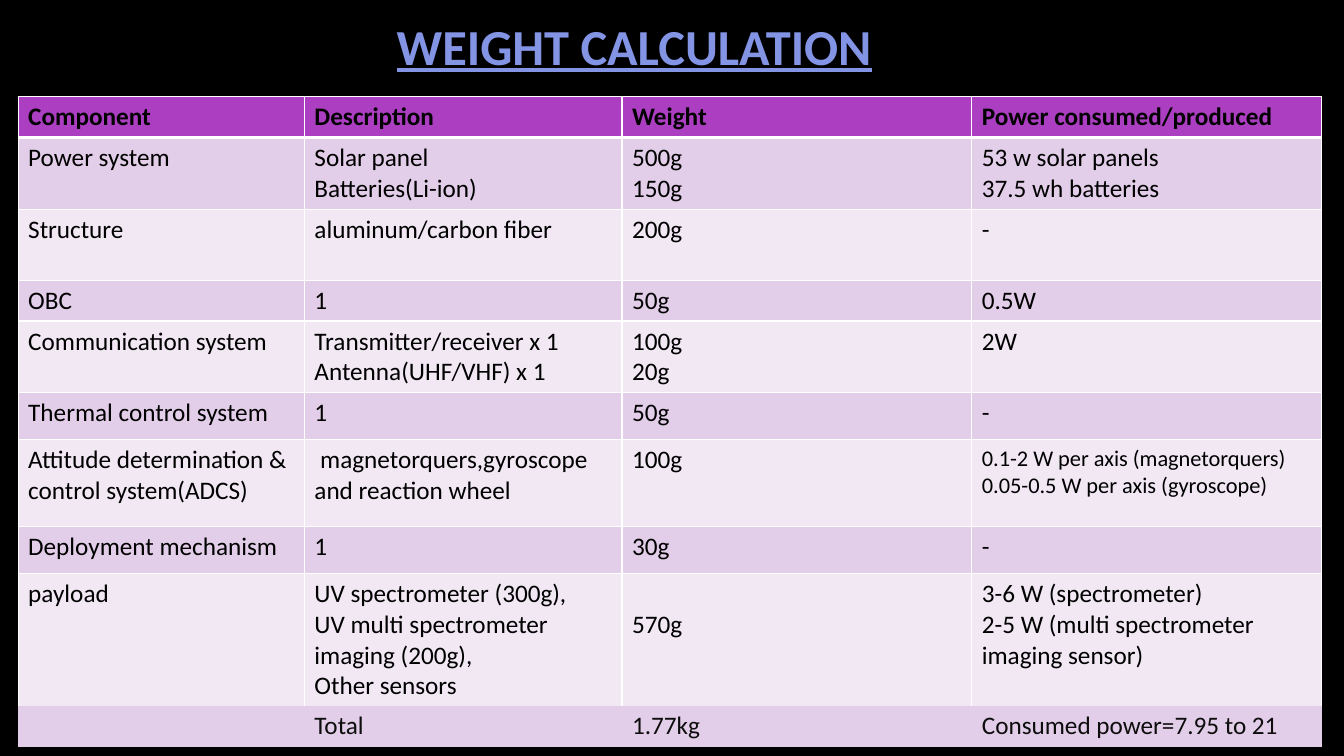
import pptx
import pptx.util
import pptx.dml.color
import pptx.enum.text
import pptx.oxml.ns
import lxml.etree

WIDE, HIGH = 13.33, 7.5
FACE = "Calibri"
BLACK, WHITE, INK = "000000", "FFFFFF", "0D0D0D"
HEAD, DARK, PALE = "AC3EC1", "E3CEE9", "F1E8F4"
TITLE = "8394E4"

COLS = [21.3, 23.63, 26.03, 26.03]
ROWS = [
    (5.4, ["Component", "Description", "Weight", "Power consumed/produced"]),
    (9.47, ["Power system", "Solar panel\nBatteries(Li-ion)", "500g\n150g",
            "53 w solar panels\n37.5 wh batteries"]),
    (9.4, ["Structure", "aluminum/carbon fiber", "200g", "-"]),
    (5.4, ["OBC", "1", "50g", "0.5W"]),
    (9.47, ["Communication system",
            "Transmitter/receiver x 1\nAntenna(UHF/VHF) x 1",
            "100g\n20g", "2W"]),
    (6.23, ["Thermal control system", "1", "50g", "-"]),
    (11.5, ["Attitude determination & control system(ADCS)",
            " magnetorquers,gyroscope and reaction wheel", "100g",
            "0.1-2 W per axis (magnetorquers)\n0.05-0.5 W per axis (gyroscope)"]),
    (6.23, ["Deployment mechanism", "1", "30g", "-"]),
    (17.5, ["payload",
            "UV spectrometer (300g),\nUV multi spectrometer imaging (200g),\nOther sensors",
            "570g",
            "3-6 W (spectrometer)\n2-5 W (multi spectrometer imaging sensor)"]),
    (5.4, ["", "Total", "1.77kg", "Consumed power=7.95 to 21"]),
]
LAST = len(ROWS) - 1
SMALL = (6, 3)
LOWER = (8, 2)


def across(share):
    return pptx.util.Inches(WIDE * share / 100)


def down(share):
    return pptx.util.Inches(HIGH * share / 100)


def tint(code):
    return pptx.dml.color.RGBColor.from_string(code)


def paint(fill, code):
    fill.solid()
    fill.fore_color.rgb = tint(code)


def write(frame, text, size=18, color=BLACK, bold=False, line=False, align=None):
    frame.word_wrap = True
    for spot, part in enumerate(text.split("\n")):
        para = frame.add_paragraph() if spot else frame.paragraphs[0]
        para.alignment = align
        run = para.add_run()
        run.text = part
        font = run.font
        font.name, font.size = FACE, pptx.util.Pt(size)
        font.bold, font.underline = bold, line
        font.color.rgb = tint(color)


def edge(cell, side, width):
    name = pptx.oxml.ns.qn
    props = cell._tc.get_or_add_tcPr()
    rule = lxml.etree.SubElement(props, name("a:ln" + side))
    if width:
        rule.set("w", str(pptx.util.Pt(width)))
        fill = lxml.etree.SubElement(rule, name("a:solidFill"))
        lxml.etree.SubElement(fill, name("a:srgbClr")).set("val", WHITE)
    else:
        rule.set("w", "0")
        lxml.etree.SubElement(rule, name("a:noFill"))


def frame_cell(cell, row):
    side = 0 if row == LAST else 1
    top = {1: 3, LAST: 0}.get(row, 1)
    base = {0: 3, LAST - 1: 0, LAST: 0}.get(row, 1)
    for name, width in zip("LRTB", (side, side, top, base)):
        edge(cell, name, width)


def add_title(slide, text):
    box = slide.shapes.add_textbox(across(5.63), down(1.33), across(83.12), down(9.2))
    box.text_frame.vertical_anchor = pptx.enum.text.MSO_ANCHOR.MIDDLE
    write(box.text_frame, text, size=36, color=TITLE, bold=True, line=True,
          align=pptx.enum.text.PP_ALIGN.CENTER)


def add_grid(slide):
    tall = sum(share for share, _ in ROWS)
    grid = slide.shapes.add_table(len(ROWS), len(COLS), across(1.35), down(12.8),
                                  across(sum(COLS)), down(tall)).table
    for col, share in enumerate(COLS):
        grid.columns[col].width = across(share)
    for row, (share, texts) in enumerate(ROWS):
        grid.rows[row].height = down(share)
        for col, text in enumerate(texts):
            cell = grid.cell(row, col)
            frame_cell(cell, row)
            paint(cell.fill, HEAD if row == 0 else DARK if row % 2 else PALE)
            if (row, col) == LOWER:
                cell.margin_top = pptx.util.Inches(0.36)
            if text:
                write(cell.text_frame, text, bold=row == 0,
                      size=16 if (row, col) == SMALL else 18,
                      color=INK if row == LAST else BLACK)


def main():
    deck = pptx.Presentation()
    deck.slide_width, deck.slide_height = across(100), down(100)
    slide = deck.slides.add_slide(deck.slide_layouts[6])
    paint(slide.background.fill, BLACK)
    add_title(slide, "WEIGHT CALCULATION")
    add_grid(slide)
    deck.save("out.pptx")


if __name__ == "__main__":
    main()
